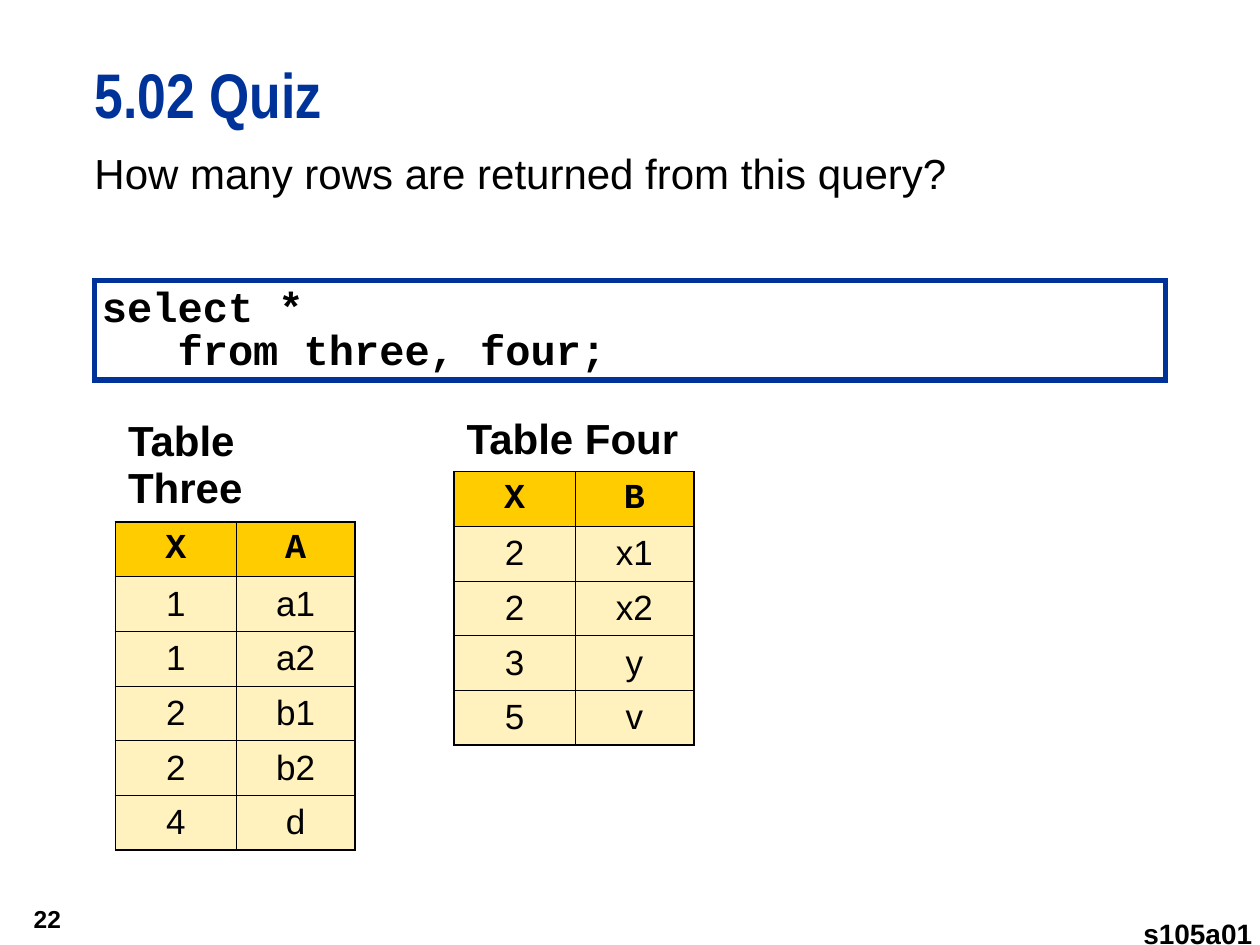
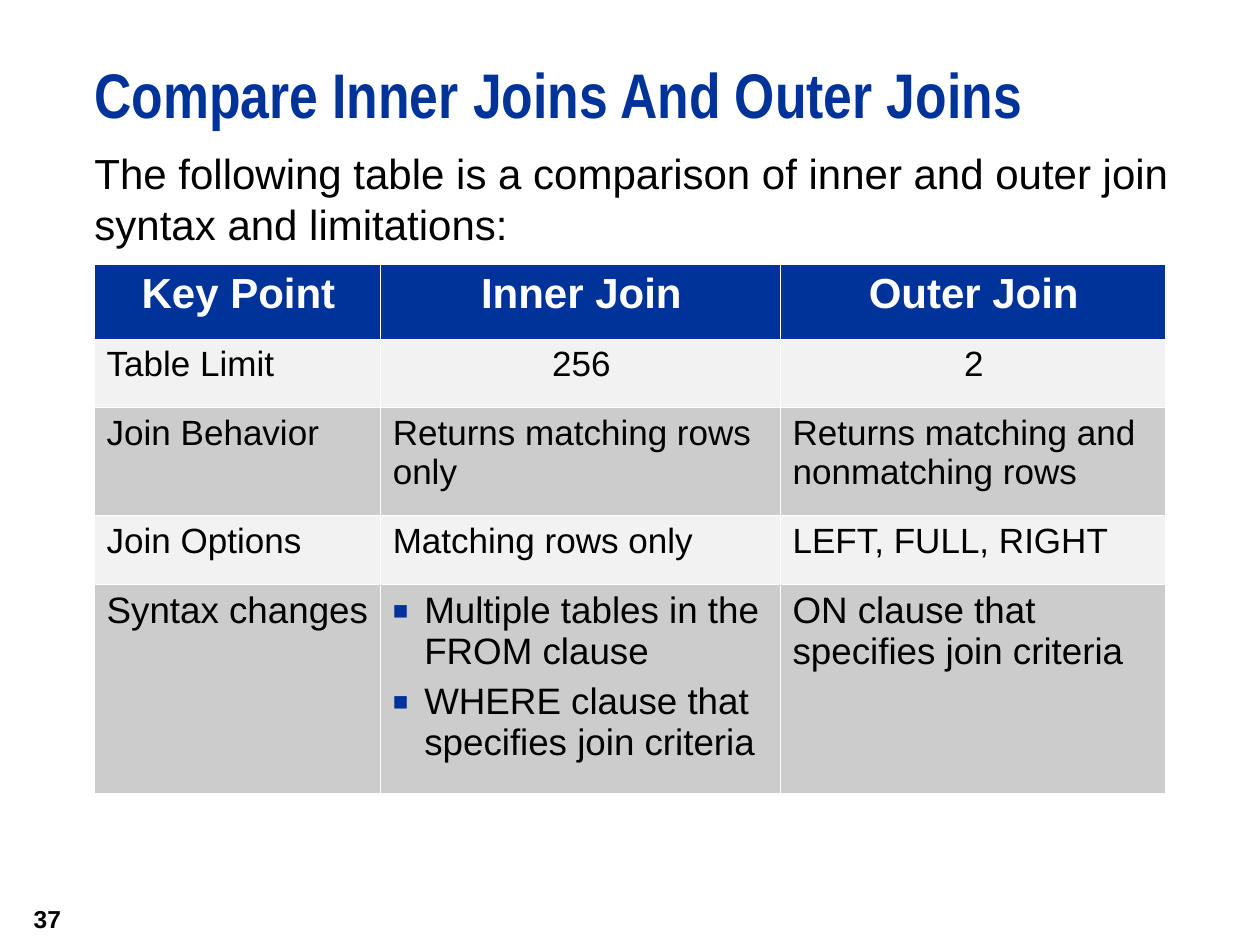
from dataclasses import dataclass

import lxml.etree
import pptx
import pptx.dml.color
import pptx.enum.shapes
import pptx.enum.text
import pptx.oxml.ns
import pptx.util

Pt = pptx.util.Pt
qn = pptx.oxml.ns.qn
Align = pptx.enum.text.PP_ALIGN
Anchor = pptx.enum.text.MSO_ANCHOR

COLORS = {
    "blue": "003399",
    "black": "000000",
    "white": "FFFFFF",
    "gold": "FFCC00",
    "cream": "FFF2BE",
    "light": "F2F2F2",
    "grey": "CCCCCC",
}
THICK, THIN = 1.08, 0.45


@dataclass(frozen=True)
class TextStyle:
    size: float
    font: str = "Arial"
    color: str = "black"
    bold: bool = False
    align: Align = Align.LEFT
    line_spacing: object = None


@dataclass(frozen=True)
class Box:
    left: float
    top: float
    width: float
    height: float

    def lengths(self) -> tuple:
        return Pt(self.left), Pt(self.top), Pt(self.width), Pt(self.height)


@dataclass(frozen=True)
class DataTable:
    caption: str
    left: float
    top: float
    caption_height: float
    header: tuple
    rows: tuple


TITLE = TextStyle(36, "Arial Narrow", "blue", True, line_spacing=Pt(39))
QUESTION = TextStyle(24, line_spacing=Pt(29))
PAGE_NUMBER = TextStyle(14, bold=True, align=Align.RIGHT)
FILE_NAME = TextStyle(16, bold=True, align=Align.RIGHT)
CODE = TextStyle(24, "Courier New", bold=True, line_spacing=0.85)
CAPTION = TextStyle(24, bold=True)
DATA_HEADER = TextStyle(20, "Courier New", bold=True, align=Align.CENTER)
DATA = TextStyle(20, align=Align.CENTER)
KEY_HEADER = TextStyle(24, color="white", bold=True, align=Align.CENTER)
KEY_TEXT = TextStyle(20)
SYNTAX_TEXT = TextStyle(21)

DATA_TABLES = (
    DataTable("Table Three", 66, 233.5, 61, ("X", "A"),
              (("1", "a1"), ("1", "a2"), ("2", "b1"), ("2", "b2"), ("4", "d"))),
    DataTable("Table Four", 259.5, 233.5, 34, ("X", "B"),
              (("2", "x1"), ("2", "x2"), ("3", "y"), ("5", "v"))),
)
DATA_COLUMNS = (69, 68)
DATA_HEADER_HEIGHT, DATA_ROW_HEIGHT = 29.9, 29.6

JOIN_COLUMNS = (163.5, 228.5, 220)
JOIN_HEIGHTS = (42.5, 39, 62, 39, 120)
JOIN_ROWS = (
    ("Key Point", "Inner Join", "Outer Join"),
    ("Table Limit", "256", "2"),
    ("Join Behavior", "Returns matching rows only", "Returns matching and nonmatching rows"),
    ("Join Options", "Matching rows only", "LEFT, FULL, RIGHT"),
    ("Syntax changes",
     ("Multiple tables in the FROM clause", "WHERE clause that specifies join criteria"),
     "ON clause that specifies join criteria"),
)


def rgb(name: str) -> pptx.dml.color.RGBColor:
    return pptx.dml.color.RGBColor.from_string(COLORS[name])


def write(paragraph, text: str, style: TextStyle) -> None:
    """Fill a paragraph, one run per line of text."""
    paragraph.alignment = style.align
    if style.line_spacing is not None:
        paragraph.line_spacing = style.line_spacing
    for index, line in enumerate(text.split("\n")):
        if index:
            paragraph.add_line_break()
        run = paragraph.add_run()
        run.text = line
        run.font.name = style.font
        run.font.size = Pt(style.size)
        run.font.bold = style.bold
        run.font.color.rgb = rgb(style.color)


def set_frame(frame, margins: tuple = (0, 0), wrap: bool = True, anchor: Anchor = Anchor.TOP) -> None:
    frame.margin_left = frame.margin_right = Pt(margins[0])
    frame.margin_top = frame.margin_bottom = Pt(margins[1])
    frame.word_wrap = wrap
    frame.vertical_anchor = anchor


def add_text(slide, box: Box, text: str, style: TextStyle, **frame_options) -> None:
    frame = slide.shapes.add_textbox(*box.lengths()).text_frame
    set_frame(frame, **frame_options)
    write(frame.paragraphs[0], text, style)


def add_bullet(paragraph) -> None:
    properties = paragraph._p.get_or_add_pPr()
    properties.set("marL", str(Pt(18)))
    properties.set("indent", str(-Pt(18)))
    color = lxml.etree.SubElement(properties, qn("a:buClr"))
    lxml.etree.SubElement(color, qn("a:srgbClr"), val=COLORS["blue"])
    lxml.etree.SubElement(properties, qn("a:buSzPct"), val="70000")
    lxml.etree.SubElement(properties, qn("a:buFont"), typeface="Arial")
    lxml.etree.SubElement(properties, qn("a:buChar"), char="■")


def set_borders(cell, color: str, left: float, right: float, top: float, bottom: float) -> None:
    """Draw the four cell edges; a width of 0 hides an edge."""
    properties = cell._tc.get_or_add_tcPr()
    edges = zip(("a:lnL", "a:lnR", "a:lnT", "a:lnB"), (left, right, top, bottom))
    for index, (tag, width) in enumerate(edges):
        edge = lxml.etree.Element(qn(tag), w=str(Pt(width)))
        if width:
            fill = lxml.etree.SubElement(edge, qn("a:solidFill"))
            lxml.etree.SubElement(fill, qn("a:srgbClr"), val=COLORS[color])
        else:
            lxml.etree.SubElement(edge, qn("a:noFill"))
        properties.insert(index, edge)


def fill_cell(cell, color: str) -> None:
    cell.fill.solid()
    cell.fill.fore_color.rgb = rgb(color)


def add_grid(slide, left: float, top: float, widths: tuple, heights: tuple):
    box = Box(left, top, sum(widths), sum(heights))
    table = slide.shapes.add_table(len(heights), len(widths), *box.lengths()).table
    for column, width in zip(table.columns, widths):
        column.width = Pt(width)
    for row, height in zip(table.rows, heights):
        row.height = Pt(height)
    return table


def add_data_table(slide, data: DataTable) -> None:
    records = (data.header,) + data.rows
    heights = (data.caption_height, DATA_HEADER_HEIGHT) + (DATA_ROW_HEIGHT,) * len(data.rows)
    table = add_grid(slide, data.left, data.top, DATA_COLUMNS, heights)
    caption = table.cell(0, 0)
    caption.merge(table.cell(0, 1))
    caption.vertical_anchor = Anchor.MIDDLE
    write(caption.text_frame.paragraphs[0], data.caption, CAPTION)
    for column in range(2):
        cell = table.cell(0, column)
        cell.fill.background()
        set_borders(cell, "black", 0, 0, 0, THICK)

    for r, record in enumerate(records):
        for c, value in enumerate(record):
            cell = table.cell(r + 1, c)
            cell.vertical_anchor = Anchor.MIDDLE
            fill_cell(cell, "cream" if r else "gold")
            write(cell.text_frame.paragraphs[0], value, DATA if r else DATA_HEADER)
            set_borders(cell, "black",
                        left=THIN if c else THICK,
                        right=THICK if c else THIN,
                        top=THIN if r else THICK,
                        bottom=THICK if r == len(records) - 1 else THIN)


def join_style(row: int, text: str) -> TextStyle:
    if row == 0:
        return KEY_HEADER
    if row == len(JOIN_ROWS) - 1:
        return SYNTAX_TEXT
    return DATA if text.isdigit() else KEY_TEXT


def add_join_table(slide) -> None:
    table = add_grid(slide, 54, 151.2, JOIN_COLUMNS, JOIN_HEIGHTS)
    for r, record in enumerate(JOIN_ROWS):
        band = "blue" if r == 0 else ("grey", "light")[r % 2]
        for c, content in enumerate(record):
            cell = table.cell(r, c)
            cell.margin_left, cell.margin_right = Pt(7), Pt(6)
            fill_cell(cell, band)
            set_borders(cell, "white", THIN, THIN, THIN, THIN)
            frame = cell.text_frame
            bulleted = isinstance(content, tuple)
            for index, text in enumerate(content if bulleted else (content,)):
                paragraph = frame.add_paragraph() if index else frame.paragraphs[0]
                if bulleted:
                    add_bullet(paragraph)
                if index:
                    paragraph.space_before = Pt(5.2)
                write(paragraph, text, join_style(r, text))


def add_code(slide, box: Box, code: str) -> None:
    panel = slide.shapes.add_shape(pptx.enum.shapes.MSO_SHAPE.RECTANGLE, *box.lengths())
    panel.shadow.inherit = False
    panel.fill.solid()
    panel.fill.fore_color.rgb = rgb("white")
    panel.line.color.rgb = rgb("blue")
    panel.line.width = Pt(3)
    outline = panel._element.spPr.find(qn("a:ln"))
    lxml.etree.SubElement(outline, qn("a:miter"), lim="800000")
    set_frame(panel.text_frame, margins=(4.3, 4.3))
    write(panel.text_frame.paragraphs[0], code, CODE)


def add_slide(deck, title: str, lead: str, number: str):
    """Start a slide with the title, lead text and page number that all share."""
    slide = deck.slides.add_slide(deck.slide_layouts[6])
    add_text(slide, Box(54, 36, 666, 54), title, TITLE)
    add_text(slide, Box(54, 84, 618, 336), lead, QUESTION)
    add_text(slide, Box(0, 510, 42, 30), number, PAGE_NUMBER,
             margins=(7.2, 3.6), wrap=False, anchor=Anchor.MIDDLE)
    return slide


def main() -> None:
    deck = pptx.Presentation()
    deck.slide_width, deck.slide_height = Pt(720), Pt(540)

    quiz = add_slide(deck, "5.02 Quiz", "How many rows are returned from this query?", "22")
    for data in DATA_TABLES:
        add_data_table(quiz, data)
    add_code(quiz, Box(54, 160.2, 612, 57), "select *\n   from three, four;")
    add_text(quiz, Box(645.5, 523.5, 70, 19.5), "s105a01", FILE_NAME, wrap=False)

    comparison = add_slide(
        deck, "Compare Inner Joins And Outer Joins",
        "The following table is a comparison of inner and outer join syntax and limitations:", "37")
    add_join_table(comparison)

    deck.save("out.pptx")


if __name__ == "__main__":
    main()
